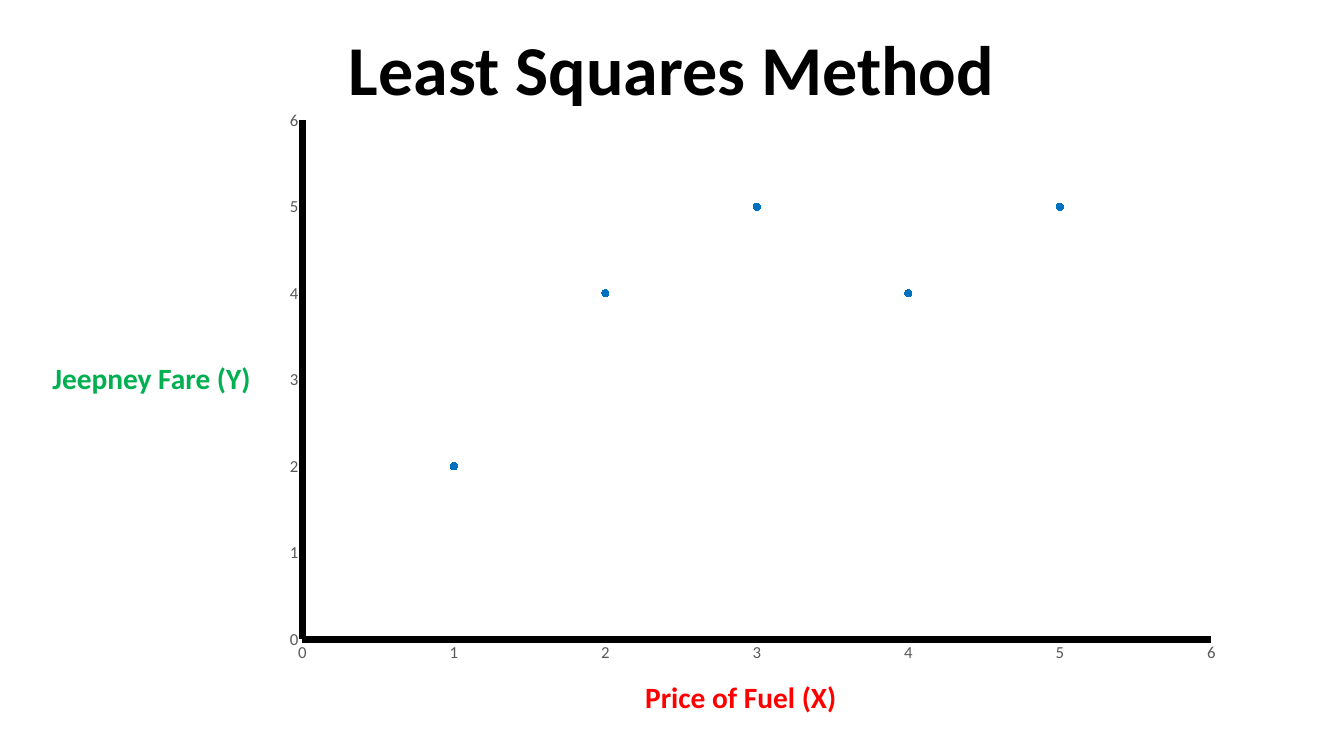
from lxml import etree
from pptx import Presentation
from pptx.chart.data import XyChartData
from pptx.dml.color import RGBColor
from pptx.enum import chart as ch, text as tx
from pptx.oxml.ns import qn
from pptx.util import Inches, Pt

BLACK = RGBColor(0x00, 0x00, 0x00)
RED = RGBColor(0xFF, 0x00, 0x00)
GREEN = RGBColor(0x00, 0xB0, 0x50)
BLUE = RGBColor(0x00, 0x70, 0xC0)
GRAY = RGBColor(0x59, 0x59, 0x59)
FONT = "Calibri"

# Content: text, box, size, colour, alignment, anchor, wrap
MID, LEFT = tx.PP_ALIGN.CENTER, tx.PP_ALIGN.LEFT
TOP, BOTTOM = tx.MSO_ANCHOR.TOP, tx.MSO_ANCHOR.BOTTOM
LABELS = [
    ("Least Squares Method", (0.5, 0.36, 12.33, 0.79), 50, BLACK, MID, BOTTOM, True),
    ("Price of Fuel (X)", (6.3, 6.69, 2.12, 0.45), 21, RED, LEFT, TOP, False),
    ("Jeepney Fare (Y)", (0.42, 3.52, 2.19, 0.45), 21, GREEN, LEFT, TOP, False),
]
POINTS = [(1, 2), (2, 4), (3, 5), (4, 4), (5, 5)]
CHART = (2.62, 1.08, 9.49, 5.72)
PLOT = {"x": 0.04, "y": 0.02, "w": 0.95, "h": 0.9}

prs = Presentation()
prs.slide_width, prs.slide_height = Inches(13.33), Inches(7.5)
slide = prs.slides.add_slide(prs.slide_layouts[6])

# Title and axis names
for words, box, size, color, align, anchor, wrap in LABELS:
    frame = slide.shapes.add_textbox(*map(Inches, box)).text_frame
    frame.word_wrap = wrap
    frame.vertical_anchor = anchor
    para = frame.paragraphs[0]
    para.text = words
    para.alignment = align
    if anchor == BOTTOM:
        para.line_spacing = 0.9
    font = para.font
    font.name, font.size, font.bold = FONT, Pt(size), True
    font.color.rgb = color

# Scatter chart
data = XyChartData()
series = data.add_series("Series 1")
for x, y in POINTS:
    series.add_data_point(x, y)
chart = slide.shapes.add_chart(
    ch.XL_CHART_TYPE.XY_SCATTER, *map(Inches, CHART), data).chart
chart.has_legend = False
chart.has_title = False
chart.font.name, chart.font.size = FONT, Pt(10)

plot = chart.plots[0]
plot.vary_by_categories = False
dots = plot.series[0]
dots.smooth = False
dots.format.line.fill.background()
mark = dots.marker
mark.style, mark.size = ch.XL_MARKER_STYLE.CIRCLE, 5
mark.format.fill.solid()
mark.format.fill.fore_color.rgb = BLUE
mark.format.line.color.rgb = BLUE

# Both axes share one look
for axis in (chart.category_axis, chart.value_axis):
    axis.minimum_scale, axis.maximum_scale, axis.major_unit = 0, 6, 1
    axis.has_major_gridlines = False
    axis.major_tick_mark = axis.minor_tick_mark = ch.XL_TICK_MARK.NONE
    axis.format.line.color.rgb = BLACK
    axis.format.line.width = Pt(5)
    font = axis.tick_labels.font
    font.name, font.size = FONT, Pt(12)
    font.color.rgb = GRAY

# Fixed inner plot area
area = chart.element.find(".//" + qn("c:plotArea"))
old = area.find(qn("c:layout"))
if old is not None:
    area.remove(old)
layout = etree.Element(qn("c:layout"))
area.insert(0, layout)
manual = etree.SubElement(layout, qn("c:manualLayout"))
modes = {"layoutTarget": "inner", "xMode": "edge", "yMode": "edge"}
for tag, val in {**modes, **PLOT}.items():
    etree.SubElement(manual, qn("c:" + tag)).set("val", str(val))

prs.save("out.pptx")
